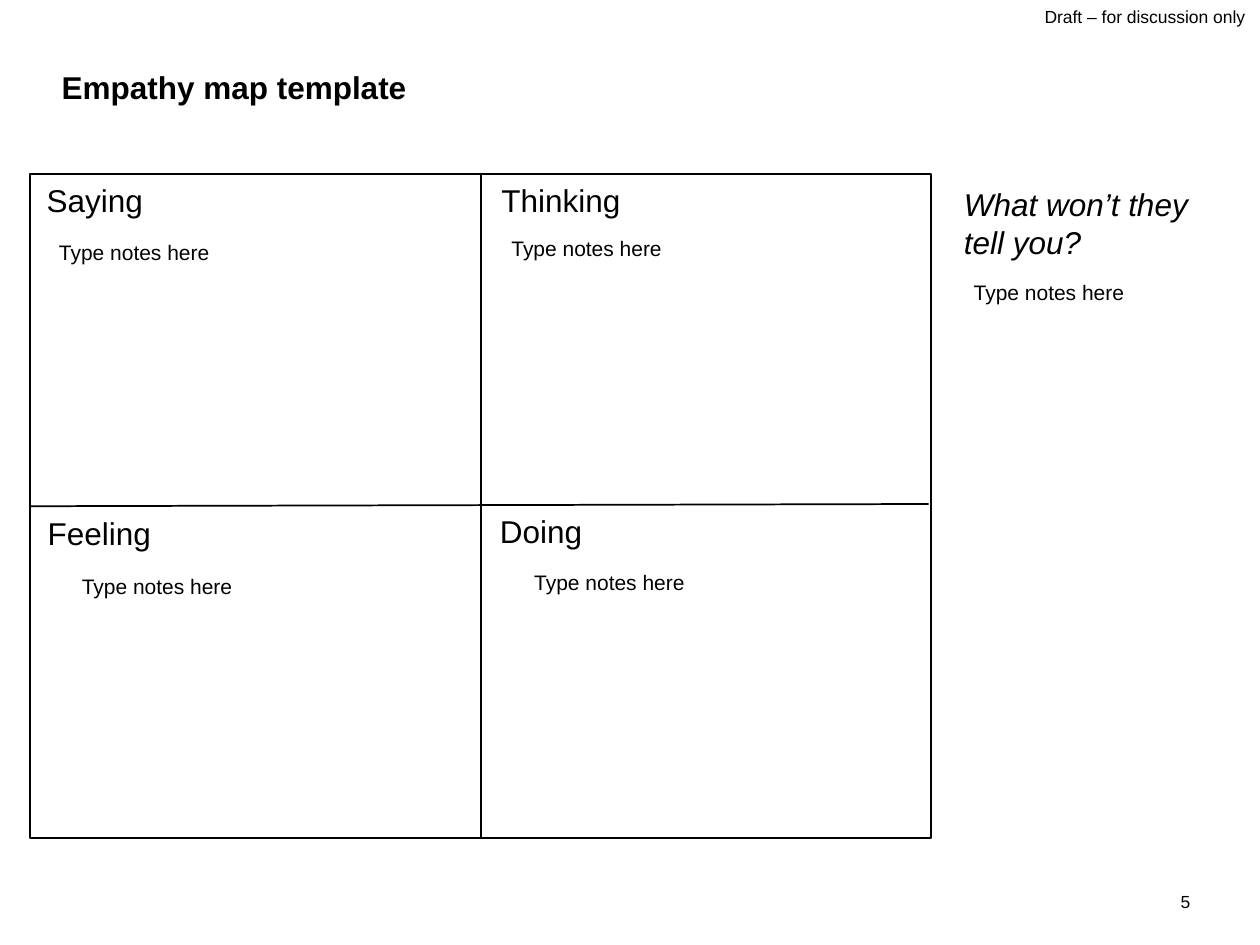
from dataclasses import dataclass

from lxml import etree
from pptx import Presentation, util as u
from pptx.dml.color import RGBColor
from pptx.enum import shapes, text
from pptx.oxml.ns import qn


@dataclass(frozen=True)
class Theme:
    font: str = "Arial"
    ink: RGBColor = RGBColor(0, 0, 0)
    head: int = 18
    note: int = 12
    small: int = 10
    rule: int = 1


THEME = Theme()
NOTE = "Type notes here"

# Heading, its box, then the place and width of its notes (all in cm)
PARTS = [
    ("Saying", (0.69, 3.53, 8.15, 1.02), (0.94, 4.7, 6.68)),
    ("Thinking", (9.86, 3.53, 8.15, 1.02), (10.06, 4.62, 6.68)),
    ("Feeling", (0.71, 10.24, 12.7, 1.02), (1.4, 11.43, 6.68)),
    ("Doing", (9.83, 10.19, 8.71, 1.02), (10.52, 11.35, 6.68)),
    ("What won’t they tell you?", (19.18, 3.61, 5.31, 1.78), (19.38, 5.51, 4.95)),
]


def cms(*vals):
    return [u.Cm(val) for val in vals]


def assign(item, vals):
    for key, val in vals.items():
        setattr(item, key, val)


def write(shape, words, size, gap=0, align=text.PP_ALIGN.LEFT, **style):
    frame = shape.text_frame
    frame.text = words
    assign(frame, {"word_wrap": True, "auto_size": text.MSO_AUTO_SIZE.NONE})
    para = frame.paragraphs[0]
    assign(para, {"alignment": align, "space_before": u.Pt(gap)})
    font = para.runs[0].font
    assign(font, {"name": THEME.font, "size": u.Pt(size), **style})
    font.color.rgb = THEME.ink


def add_text(slide, box, words, size, **style):
    write(slide.shapes.add_textbox(*cms(*box)), words, size, **style)


def add_title(slide, box, words):
    title = slide.shapes.title
    assign(title, dict(zip(("left", "top", "width", "height"), cms(*box))))
    title.text_frame.vertical_anchor = text.MSO_ANCHOR.MIDDLE
    write(title, words, THEME.head, bold=True)


def ink_line(line):
    line.color.rgb = THEME.ink
    line.width = u.Pt(THEME.rule)


def add_frame(slide, box):
    frame = slide.shapes.add_shape(shapes.MSO_SHAPE.RECTANGLE, *cms(*box))
    frame.shadow.inherit = False
    frame.fill.background()
    ink_line(frame.line)
    return frame


def add_rule(slide, start, end):
    rule = slide.shapes.add_connector(
        shapes.MSO_CONNECTOR.STRAIGHT, *cms(*start, *end))
    ink_line(rule.line)
    etree.SubElement(rule._element.spPr, qn("a:effectLst"))
    return rule


def main():
    deck = Presentation()
    assign(deck, {"slide_width": u.Cm(25.4), "slide_height": u.Cm(19.05)})
    slide = deck.slides.add_slide(deck.slide_layouts[5])

    # Page number, draft mark and title
    add_text(slide, (23.55, 17.83, 1.27, 0.69), "5", THEME.small, gap=6.2)
    add_text(slide, (16.08, 0, 9.27, 0.69), "Draft – for discussion only",
             THEME.small, gap=6.2, align=text.PP_ALIGN.RIGHT)
    add_title(slide, (0.99, 1.27, 18.72, 0.97), "Empathy map template")

    # Map frame, split into four
    left, top, wide, high = box = (0.61, 3.51, 18.16, 13.39)
    mid_x, mid_y = left + wide / 2, top + high / 2
    frame = add_frame(slide, box)
    across = add_rule(slide, (left, mid_y), (18.72, 10.16))
    across.begin_connect(frame, 1)
    down = add_rule(slide, (mid_x, top), (mid_x, top + high))
    down.begin_connect(frame, 0)
    down.end_connect(frame, 2)

    # Headings and notes; the side question is in italics
    for words, spot, (x, y, width) in PARTS:
        add_text(slide, spot, words, THEME.head, gap=11.2,
                 italic=words.endswith("?"))
        add_text(slide, (x, y, width, 0.76), NOTE, THEME.note)

    deck.save("out.pptx")


if __name__ == "__main__":
    main()
